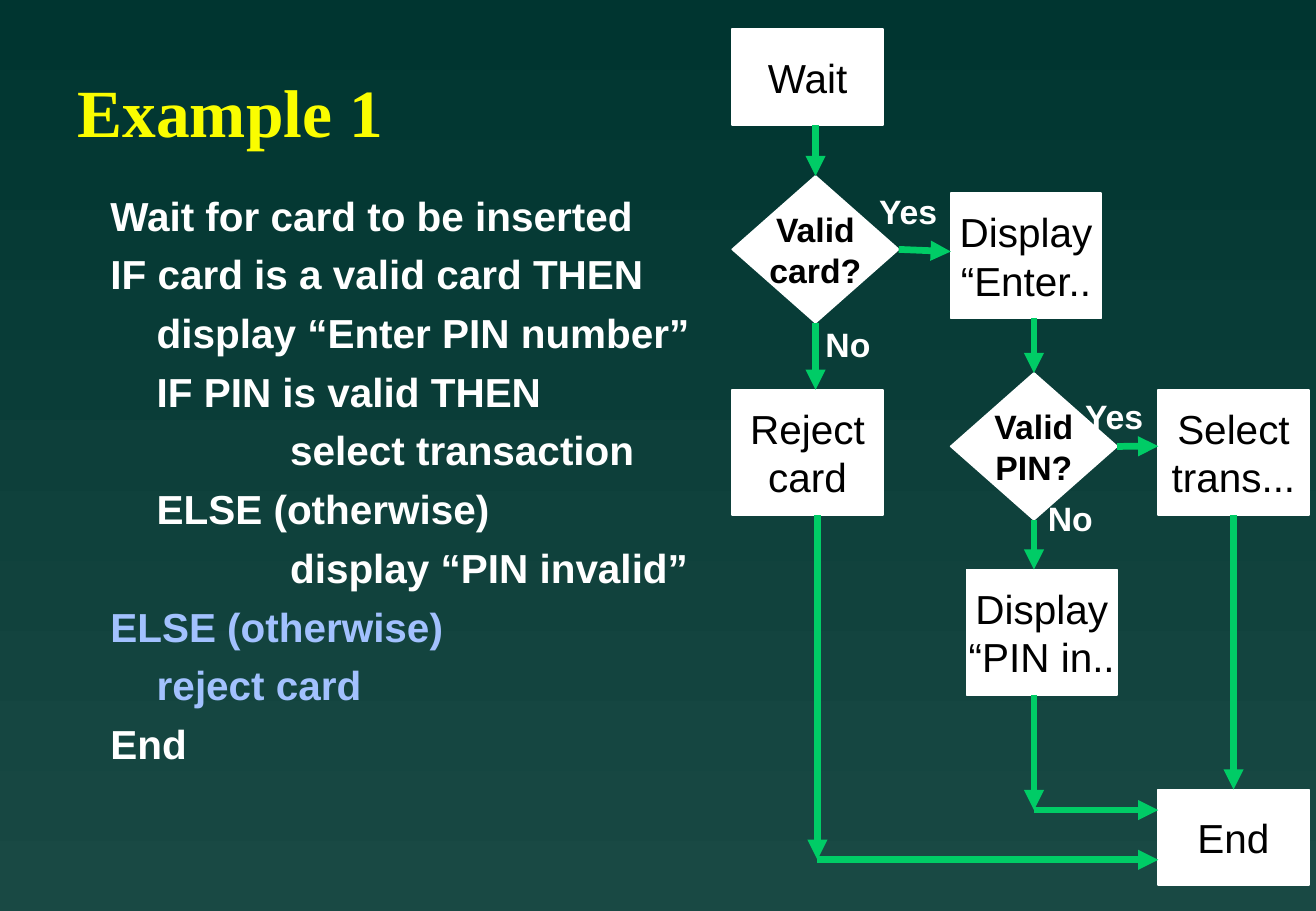
"""Build the card and PIN check slide with its pseudocode and flowchart."""
from lxml.etree import SubElement
from pptx import Presentation
from pptx.dml.color import RGBColor
from pptx.enum.shapes import MSO_CONNECTOR, MSO_SHAPE
from pptx.enum.text import MSO_ANCHOR, PP_ALIGN
from pptx.oxml.ns import qn
from pptx.util import Cm, Pt

TITLE = "Example 1"
WHITE, BLACK, YELLOW, GREEN, BLUE = "FFFFFF", "000000", "FAFD00", "00CC66", "A2C1FE"
BACKGROUND = ("003530", "194944")
INDENTS = (0, 0.97, 3.76)

PSEUDOCODE = [
    (0, "Wait for card to be inserted", WHITE),
    (0, "IF card is a valid card THEN", WHITE),
    (1, "display “Enter PIN number”", WHITE),
    (1, "IF PIN is valid THEN", WHITE),
    (2, "select transaction", WHITE),
    (1, "ELSE (otherwise)", WHITE),
    (2, "display “PIN invalid”", WHITE),
    (0, "ELSE (otherwise)", BLUE),
    (1, "reject card", BLUE),
    (0, "End", WHITE),
]

STEP_WIDTH, LINE_HEIGHTS = 3.15, {1: 2.0, 2: 2.62}
STEPS = {
    "wait": ("Wait", 15.32, 0.61),
    "enter": ("Display\n“Enter..", 19.89, 4.04),
    "reject": ("Reject\ncard", 15.32, 8.15),
    "select": ("Select\ntrans...", 24.23, 8.15),
    "invalid": ("Display\n“PIN in..", 20.22, 11.91),
    "end": ("End", 24.23, 16.51),
}
DECISION_SIZE = (3.48, 3.07)
DECISIONS = {
    "card": ("Valid\vcard?", 15.32, 3.68),
    "pin": ("Valid\vPIN?", 19.89, 7.8),
}
LABELS = [
    ("Yes", 18.14, 3.86, 1.75),
    ("No", 17.02, 6.65, 1.45),
    ("Yes", 22.45, 8.15, 1.75),
    ("No", 21.67, 10.29, 1.45),
]

TOP, BOTTOM, RIGHT = 0, 2, 3
ARROWS = [
    ((17.06, 2.61), ("card", TOP)),
    (("card", RIGHT), (19.89, 5.26)),
    (("card", BOTTOM), (17.06, 8.15)),
    ((21.63, 6.66), ("pin", TOP)),
    (("pin", RIGHT), (24.23, 9.33)),
    (("pin", BOTTOM), (21.63, 11.91)),
    (("select", BOTTOM), ("end", TOP)),
    ((21.63, 14.53), (21.63, 16.94)),
    ((21.63, 16.94), (24.23, 16.94)),
    ((17.1, 10.77), (17.1, 17.98)),
    ((17.1, 17.98), (24.23, 17.98)),
]


def color(value):
    return RGBColor.from_string(value)


def format_paragraph(para, size, fill, bold=False, font="Arial", align=PP_ALIGN.LEFT):
    para.alignment = align
    for span in para.runs:
        span.font.name = font
        span.font.size = Pt(size)
        span.font.bold = bold
        span.font.color.rgb = color(fill)


def add_title(page):
    title = page.shapes.title
    title.left, title.top, title.width, title.height = Cm(1.37), Cm(1.47), Cm(23.4), Cm(1.7)
    title.text_frame.text = TITLE
    title.text_frame.vertical_anchor = MSO_ANCHOR.MIDDLE
    format_paragraph(title.text_frame.paragraphs[0], 40, YELLOW, True, "Times New Roman")


def add_pseudocode(page):
    box = page.shapes.add_textbox(Cm(2.06), Cm(3.86), Cm(13.2), Cm(13.06))
    frame = box.text_frame
    frame.word_wrap = True
    frame.text = "\n".join(text for _, text, _ in PSEUDOCODE)
    for para, (level, _, fill) in zip(frame.paragraphs, PSEUDOCODE):
        format_paragraph(para, 24, fill, True)
        para.space_before = Pt(6)
        para._p.get_or_add_pPr().set("marL", str(Cm(INDENTS[level])))


def add_node(page, kind, text, left, top, width, height, size, bold):
    node = page.shapes.add_shape(kind, Cm(left), Cm(top), Cm(width), Cm(height))
    node.shadow.inherit = False
    node.fill.solid()
    node.fill.fore_color.rgb = color(WHITE)
    node.line.color.rgb = color(WHITE)
    node.line.width = Pt(1)
    frame = node.text_frame
    frame.word_wrap = False
    frame.vertical_anchor = MSO_ANCHOR.MIDDLE
    frame.text = text
    for para in frame.paragraphs:
        format_paragraph(para, size, BLACK, bold, align=PP_ALIGN.CENTER)
    return node


def add_label(page, text, left, top, width):
    label = page.shapes.add_textbox(Cm(left), Cm(top), Cm(width), Cm(1.12))
    label.text_frame.word_wrap = False
    label.text_frame.text = text
    format_paragraph(label.text_frame.paragraphs[0], 20, WHITE, True)


def add_arrow(page, nodes, start, end):
    start_joined, end_joined = start[0] in nodes, end[0] in nodes
    begin_point = (0, 0) if start_joined else start
    end_point = (0, 0) if end_joined else end
    arrow = page.shapes.add_connector(
        MSO_CONNECTOR.STRAIGHT, *(Cm(value) for value in (*begin_point, *end_point)))
    if start_joined:
        arrow.begin_connect(nodes[start[0]], start[1])
    if end_joined:
        arrow.end_connect(nodes[end[0]], end[1])
    arrow.line.color.rgb = color(GREEN)
    arrow.line.width = Pt(4)
    SubElement(arrow.line._get_or_add_ln(), qn("a:tailEnd"), type="triangle")
    SubElement(arrow._element.spPr, qn("a:effectLst"))


def main():
    deck = Presentation()
    deck.slide_width, deck.slide_height = Cm(27.53), Cm(19.05)
    page = deck.slides.add_slide(deck.slide_layouts[5])
    fill = page.background.fill
    fill.gradient()
    fill.gradient_angle = 270
    for stop, value in zip(fill.gradient_stops, BACKGROUND):
        stop.color.rgb = color(value)

    add_title(page)
    add_pseudocode(page)
    nodes = {}
    for name, (text, left, top) in STEPS.items():
        height = LINE_HEIGHTS[len(text.splitlines())]
        nodes[name] = add_node(
            page, MSO_SHAPE.RECTANGLE, text, left, top, STEP_WIDTH, height, 24, False)
    for name, (text, left, top) in DECISIONS.items():
        nodes[name] = add_node(
            page, MSO_SHAPE.DIAMOND, text, left, top, *DECISION_SIZE, 20, True)
    for start, end in ARROWS:
        add_arrow(page, nodes, start, end)
    for label in LABELS:
        add_label(page, *label)
    deck.save("out.pptx")


if __name__ == "__main__":
    main()
